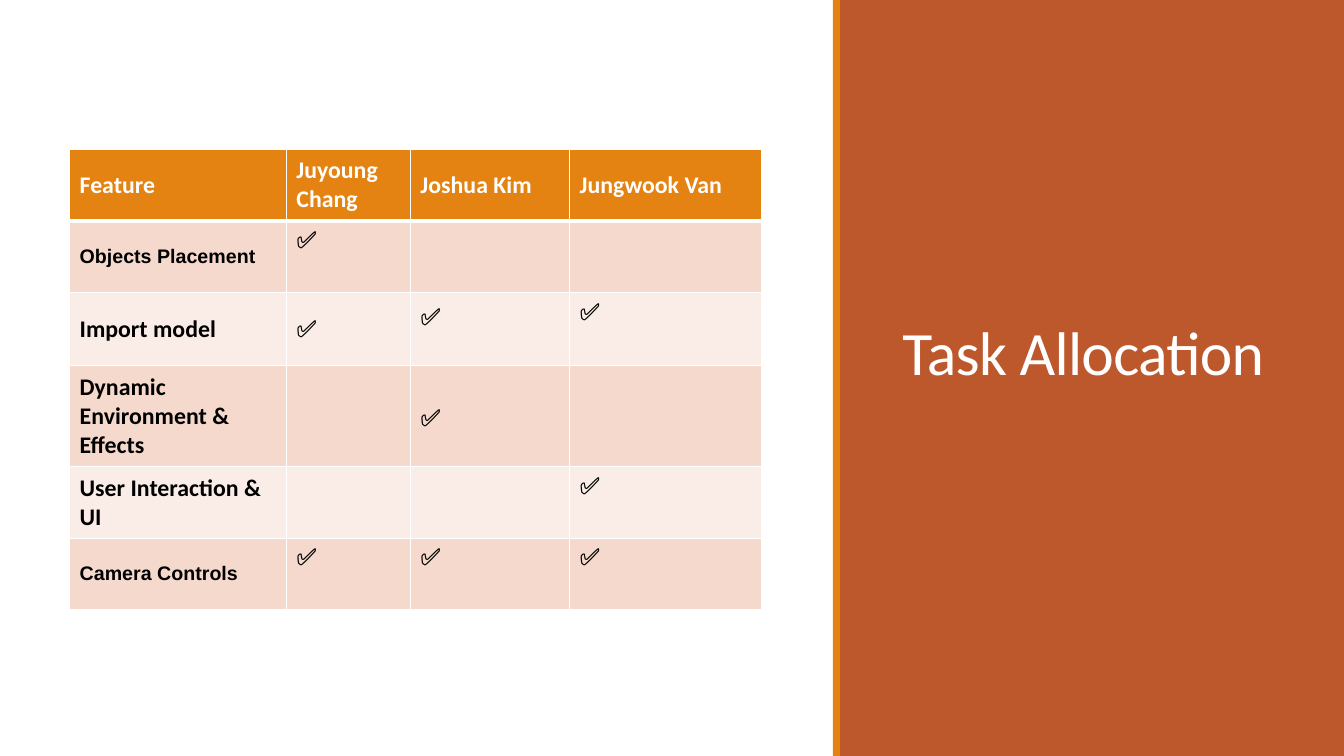
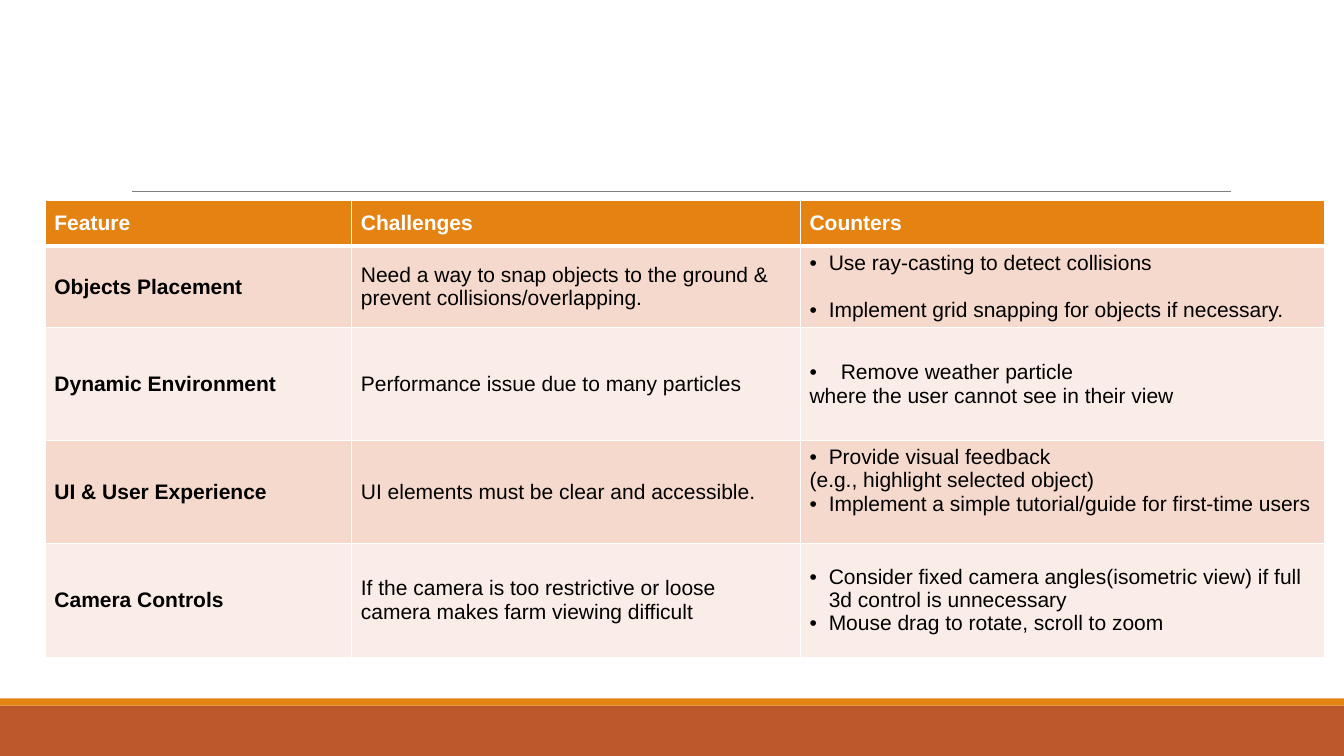
from lxml import etree
from pptx import Presentation
from pptx.dml.color import RGBColor
from pptx.enum import shapes, text
from pptx.oxml import ns
from pptx.util import Inches, Pt

W, H = 13.33, 7.5
RUST, ORANGE, WHITE, BLACK, GRAY = "BD582C", "E48312", "FFFFFF", "000000", "808080"
BANDS = ("F5D9CC", "FAEDE7")
STRIPE = 0.07
TOP, MID = text.MSO_ANCHOR.TOP, text.MSO_ANCHOR.MIDDLE
CJK = "Noto Sans CJK KR"

# A mark is (anchor, font); None leaves the cell empty.
CHECK, CHECK_MID = (TOP, "Calibri"), (MID, "Calibri")
MEMBERS = ["Feature", "Juyoung Chang", "Joshua Kim", "Jungwook Van"]
ALLOCATION = [
    ("Objects Placement", "Arial", [CHECK, None, None]),
    ("Import model", "Calibri", [CHECK_MID, (TOP, CJK), CHECK]),
    ("Dynamic Environment & Effects", "Calibri", [None, (MID, CJK), None]),
    ("User Interaction & UI", "Calibri", [None, None, CHECK]),
    ("Camera Controls", "Arial", [CHECK, CHECK, CHECK]),
]

# Each counter is (anchor, lines); a line is (text, bullet indent, space before).
RISK_HEADS = ["Feature", "Challenges", "Counters"]
RISKS = [
    ("Objects Placement",
     "Need a way to snap objects to the ground & prevent collisions/overlapping.",
     (MID, [("Use ray-casting to detect collisions", 0.19, 0),
            ("Implement grid snapping for objects if necessary.", 0.19, 17)])),
    ("Dynamic Environment",
     "Performance issue due to many particles",
     (MID, [("Remove weather particle", 0.31, 0),
            ("where the user cannot see in their view", 0, 0)])),
    ("UI & User Experience",
     "UI elements must be clear and accessible.",
     (TOP, [("Provide visual feedback", 0.19, 0),
            ("(e.g., highlight selected object)", 0, 0),
            ("Implement a simple tutorial/guide for first-time users", 0.19, 0)])),
    ("Camera Controls",
     "If the camera is too restrictive or loose camera makes farm viewing difficult",
     (MID, [("Consider fixed camera angles(isometric view) if full 3d control is unnecessary",
             0.19, 0),
            ("Mouse drag to rotate, scroll to zoom", 0.19, 0)])),
]


def rgb(code):
    return RGBColor.from_string(code)


def write(p, words, size=15, font="Arial", color=BLACK, bold=False, indent=0, before=0):
    """Fill a paragraph with one run; an indent gives it a hanging bullet."""
    r = p.add_run()
    r.text = words
    r.font.size, r.font.name, r.font.bold = Pt(size), font, bold
    r.font.color.rgb = rgb(color)
    if before:
        p.space_before = Pt(before)
    if indent:
        pPr = p._p.get_or_add_pPr()
        pPr.set("marL", str(Inches(indent)))
        pPr.set("indent", str(-Inches(indent)))
        etree.SubElement(pPr, ns.qn("a:buFont")).set("typeface", "Arial")
        etree.SubElement(pPr, ns.qn("a:buChar")).set("char", "•")
    return r


def add_band(s, x, y, w, h, color):
    sp = s.shapes.add_shape(shapes.MSO_SHAPE.RECTANGLE, *map(Inches, (x, y, w, h)))
    sp.shadow.inherit = False
    sp.fill.solid()
    sp.fill.fore_color.rgb = rgb(color)
    sp.line.fill.background()


def set_borders(cell, bottom):
    tcPr = cell._tc.get_or_add_tcPr()
    for i, (side, width) in enumerate([("L", 1), ("R", 1), ("T", 1), ("B", bottom)]):
        ln = etree.Element(ns.qn("a:ln" + side), w=str(Pt(width)))
        fill = etree.SubElement(ln, ns.qn("a:solidFill"))
        etree.SubElement(fill, ns.qn("a:srgbClr")).set("val", WHITE)
        tcPr.insert(i, ln)


def add_grid(s, x, y, cols, rows, heads, margin, **head_format):
    """Add a banded table with its header row written."""
    frame = s.shapes.add_table(len(rows), len(cols), *map(Inches, (x, y, sum(cols), sum(rows))))
    table = frame.table
    for col, width in zip(table.columns, cols):
        col.width = Inches(width)
    for i, (row, height) in enumerate(zip(table.rows, rows)):
        row.height = Inches(height)
        for cell in row.cells:
            cell.fill.solid()
            cell.fill.fore_color.rgb = rgb(BANDS[(i - 1) % 2] if i else ORANGE)
            # The row below a header shares its thick edge.
            set_borders(cell, 1 if i else 3)
            if i == 1:
                cell._tc.tcPr.find(ns.qn("a:lnT")).set("w", str(Pt(3)))
            cell.vertical_anchor = MID
            cell.margin_left = cell.margin_right = Inches(margin)
            cell.margin_top = cell.margin_bottom = Inches(0.05)
    for cell, head in zip(table.rows[0].cells, heads):
        write(cell.text_frame.paragraphs[0], head, color=WHITE, bold=True, **head_format)
    return table


def build_allocation(prs):
    s = prs.slides.add_slide(prs.slide_layouts[5])
    left = 8.33
    add_band(s, left, 0, W - left, H, RUST)
    add_band(s, left - STRIPE, 0, STRIPE, H, ORANGE)

    title = s.shapes.title
    title.left, title.top, title.width, title.height = map(Inches, (8.85, 0.7, 4, 3.2))
    tf = title.text_frame
    tf.word_wrap = True
    tf.vertical_anchor = text.MSO_ANCHOR.BOTTOM
    p = tf.paragraphs[0]
    p.alignment, p.line_spacing = text.PP_ALIGN.LEFT, 0.85
    r = write(p, "Task Allocation", size=44, font="Calibri", color=WHITE)
    r._r.get_or_add_rPr().set("spc", "-50")
    s.shapes._spTree.append(title._element)

    table = add_grid(s, 0.69, 1.48, [2.15, 1.23, 1.58, 1.9],
                     [0.71, 0.71, 0.73, 1, 0.71, 0.71], MEMBERS, 0.1,
                     size=17, font="Calibri")
    for i, (feature, font, marks) in enumerate(ALLOCATION, 1):
        write(table.cell(i, 0).text_frame.paragraphs[0], feature, font=font,
              size=14 if font == "Arial" else 17, bold=True)
        for j, mark in enumerate(marks, 1):
            if mark:
                cell = table.cell(i, j)
                cell.vertical_anchor, mark_font = mark
                write(cell.text_frame.paragraphs[0], "✅", size=17, font=mark_font)


def build_risks(prs):
    s = prs.slides.add_slide(prs.slide_layouts[6])
    add_band(s, 0, 7, W, 0.5, RUST)
    add_band(s, 0, 7 - STRIPE, W, STRIPE, ORANGE)
    rule = s.shapes.add_connector(shapes.MSO_CONNECTOR.STRAIGHT,
                                  *map(Inches, (1.31, 1.9, 12.21, 1.9)))
    rule.line.color.rgb = rgb(GRAY)
    rule.line.width = Pt(0.5)
    etree.SubElement(rule._element.spPr, ns.qn("a:effectLst"))

    table = add_grid(s, 0.45, 1.99, [3.04, 4.45, 5.2],
                     [0.45, 0.81, 1.12, 1.02, 1.13], RISK_HEADS, 0.09)
    for i, (feature, challenge, (anchor, lines)) in enumerate(RISKS, 1):
        write(table.cell(i, 0).text_frame.paragraphs[0], feature, bold=True)
        write(table.cell(i, 1).text_frame.paragraphs[0], challenge)
        cell = table.cell(i, 2)
        cell.vertical_anchor = anchor
        tf = cell.text_frame
        for n, (words, indent, before) in enumerate(lines):
            p = tf.add_paragraph() if n else tf.paragraphs[0]
            write(p, words, indent=indent, before=before)


def main():
    prs = Presentation()
    prs.slide_width, prs.slide_height = Inches(W), Inches(H)
    build_allocation(prs)
    build_risks(prs)
    prs.save("out.pptx")


if __name__ == "__main__":
    main()
